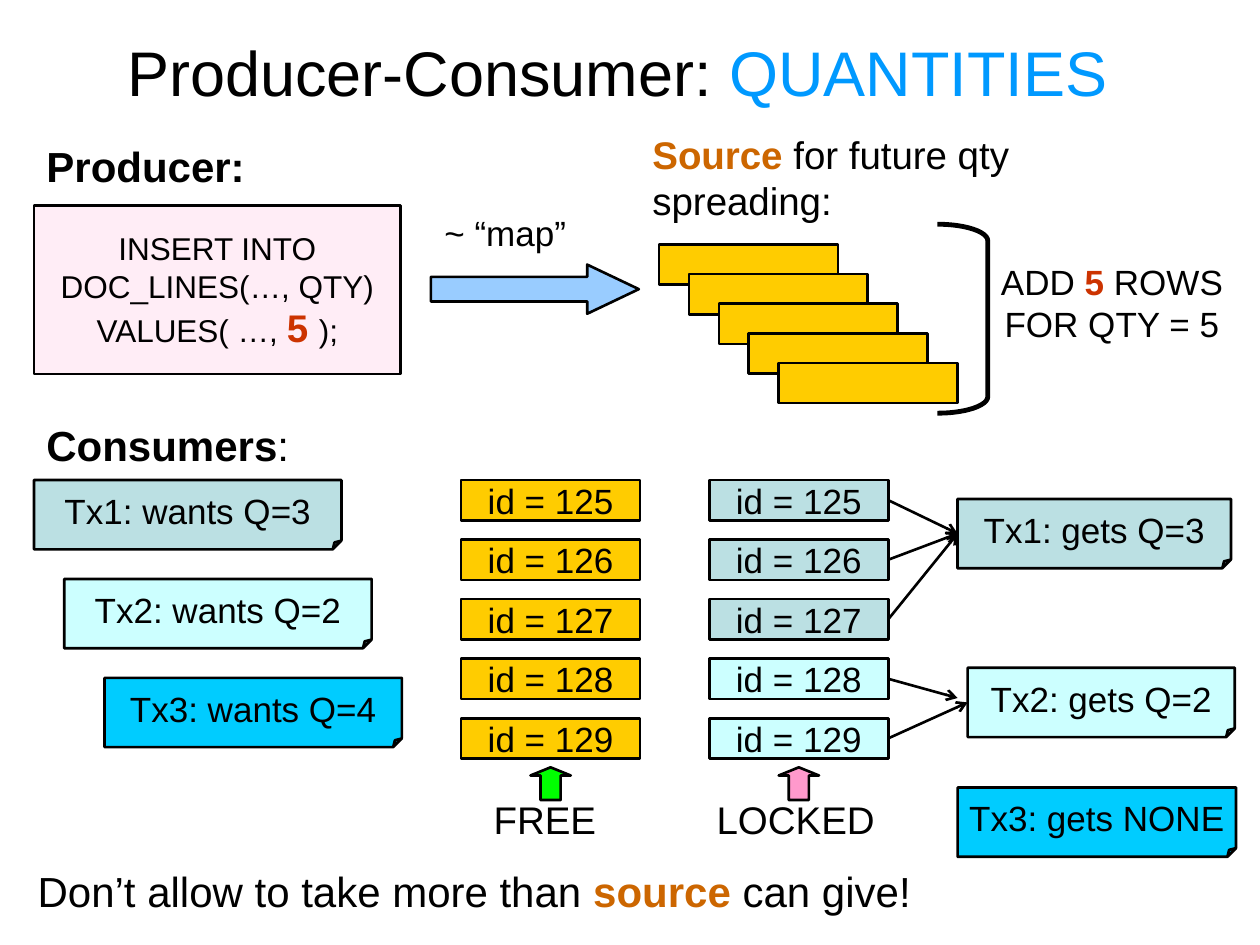
from lxml.etree import SubElement
from pptx import Presentation
from pptx.dml.color import RGBColor
from pptx.enum.shapes import MSO_CONNECTOR, MSO_SHAPE
from pptx.enum.text import MSO_ANCHOR, PP_ALIGN
from pptx.oxml.ns import qn
from pptx.util import Inches, Pt

BLACK = RGBColor(0x00, 0x00, 0x00)
BLUE = RGBColor(0x00, 0x99, 0xFF)
BROWN = RGBColor(0xCC, 0x66, 0x00)
RED = RGBColor(0xCC, 0x33, 0x00)
PINK = RGBColor(0xFF, 0x99, 0xCC)
SKY = RGBColor(0x99, 0xCC, 0xFF)
GOLD = RGBColor(0xFF, 0xCC, 0x00)
TEAL = RGBColor(0xBB, 0xE0, 0xE3)
PALE = RGBColor(0xCC, 0xFF, 0xFF)
CYAN = RGBColor(0x00, 0xCC, 0xFF)
GREEN = RGBColor(0x00, 0xFF, 0x00)

LEFT, RIGHT = 1, 3
ROW_W, ROW_H, NOTE_H = 1.42, 0.32, 0.55
IDS = range(125, 130)


def write(shape, lines, size, align=PP_ALIGN.CENTER, wrap=True):
    """Fill a shape with lines of (text, colour, bold, size) runs, where only text is required."""
    frame = shape.text_frame
    frame.word_wrap = wrap
    frame.vertical_anchor = MSO_ANCHOR.MIDDLE
    for i, line in enumerate(lines):
        para = frame.add_paragraph() if i else frame.paragraphs[0]
        para.alignment = align
        for text, *style in line:
            color, bold, points = style + [BLACK, False, size][len(style):]
            run = para.add_run()
            run.text = text
            run.font.name = "Arial"
            run.font.size = Pt(points)
            run.font.bold = bold
            run.font.color.rgb = color


def label(slide, box, runs, size, align=PP_ALIGN.LEFT):
    """Place a plain text box."""
    shape = slide.shapes.add_textbox(*map(Inches, box))
    write(shape, [runs], size, align)
    shape.text_frame.vertical_anchor = MSO_ANCHOR.TOP
    return shape


def block(slide, kind, box, fill, text=None):
    """Place an outlined shape with an optional centred caption."""
    shape = slide.shapes.add_shape(kind, *map(Inches, box))
    shape.shadow.inherit = False
    shape.fill.solid()
    shape.fill.fore_color.rgb = fill
    shape.line.color.rgb = BLACK
    shape.line.width = Pt(1.5)
    if text:
        write(shape, [[(text,)]], 20, wrap=False)
    return shape


def adjust(shape, name, value):
    """Set one named adjustment of a preset shape."""
    guides = shape._element.spPr.find(qn("a:prstGeom")).find(qn("a:avLst"))
    SubElement(guides, qn("a:gd"), name=name, fmla=f"val {round(value * 100000)}")


def note(slide, box, fill, text):
    """Place a transaction note with a folded corner."""
    shape = block(slide, MSO_SHAPE.FOLDED_CORNER, box, fill, text)
    adjust(shape, "adj", 0.125)
    return shape


def link(slide, row, target, end=None):
    """Draw an arrow from a row to a note, or to a free end point."""
    line = slide.shapes.add_connector(MSO_CONNECTOR.STRAIGHT, 0, 0, *map(Inches, end or (0, 0)))
    line.begin_connect(row, RIGHT)
    if not end:
        line.end_connect(target, LEFT)
    line.line.color.rgb = BLACK
    line.line.width = Pt(1.5)
    SubElement(line.line._get_or_add_ln(), qn("a:tailEnd"), type="arrow")
    SubElement(line._element.spPr, qn("a:effectLst"))


def producer(slide, x, y, w, h):
    """Place the insert statement under its heading, and the map arrow beside it."""
    label(slide, (x, y, w, 0.5), [("Producer:", BLACK, True)], 24)
    card = block(slide, MSO_SHAPE.RECTANGLE, (x, y + 0.56, w, h - 0.56), PINK)
    color = card._element.spPr.find(qn("a:solidFill"))[0]
    SubElement(color, qn("a:alpha"), val="17000")
    write(card, [
        [("INSERT INTO DOC_LINES(…, QTY)",)],
        [("VALUES( …, ",), ("5 ", RED, True, 22), (");",)],
    ], 18)
    left = x + w + 0.24
    label(slide, (left, y + 0.56, 1.18, 0.44), [("~ “map”",)], 20, PP_ALIGN.CENTER)
    arrow = block(slide, MSO_SHAPE.RIGHT_ARROW, (left, y + 1.03, 1.65, 0.39), SKY)
    adjust(arrow, "adj2", 1.05)


def source(slide, x, y, w, h):
    """Place the cascade of source rows with its heading, bracket and remark."""
    dx, dy = (w - ROW_W) / 4, (h - ROW_H) / 4
    for i in range(5):
        block(slide, MSO_SHAPE.RECTANGLE, (x + i * dx, y + i * dy, ROW_W, ROW_H), GOLD)
    label(slide, (x - 0.15, y - 0.95, 4.1, 0.84),
          [("Source ", BROWN, True), ("for future qty spreading:",)], 22)
    edge = x + w - 0.16
    clamp = slide.shapes.add_shape(MSO_SHAPE.RIGHT_BRACKET,
                                   *map(Inches, (edge, y - 0.16, 0.4, 1.5)))
    clamp.shadow.inherit = False
    clamp.fill.background()
    clamp.line.color.rgb = BLACK
    clamp.line.width = Pt(2.75)
    adjust(clamp, "adj", 0.33)
    label(slide, (edge + 0.4, y + 0.08, 1.97, 0.77),
          [("ADD ",), ("5", RED, True), (" ROWS FOR QTY = 5",)], 20, PP_ALIGN.CENTER)


def wants(slide, x, y):
    """Place the consumers' requests under their heading."""
    label(slide, (x, y, 4.1, 0.5), [("Consumers", BLACK, True), (":",)], 24)
    items = [(0, 2.44, TEAL, "Tx1: wants Q=3"),
             (0.24, 2.44, PALE, "Tx2: wants Q=2"),
             (0.56, 2.36, CYAN, "Tx3: wants Q=4")]
    for i, (dx, w, fill, text) in enumerate(items):
        note(slide, (x + dx, y + 0.53 + i * 0.785, w, NOTE_H), fill, text)


def column(slide, x, y, h, fills, mark):
    """Stack the numbered rows above an up arrow and return them."""
    step = (h - ROW_H) / (len(IDS) - 1)
    rows = [block(slide, MSO_SHAPE.RECTANGLE, (x, y + i * step, ROW_W, ROW_H), fill, f"id = {n}")
            for i, (n, fill) in enumerate(zip(IDS, fills))]
    arrow = block(slide, MSO_SHAPE.UP_ARROW, (x + 0.55, y + h + 0.07, 0.32, 0.26), mark)
    adjust(arrow, "adj2", 0.25)
    return rows


def gets(slide, x, y, rows):
    """Place the consumers' results and link the locked rows to them."""
    first = note(slide, (x, y, 2.17, NOTE_H), TEAL, "Tx1: gets Q=3")
    second = note(slide, (x + 0.08, y + 1.34, 2.12, NOTE_H), PALE, "Tx2: gets Q=2")
    note(slide, (x, y + 2.29, 2.21, NOTE_H), CYAN, "Tx3: gets NONE")
    for row in rows[:3]:
        link(slide, row, first)
    link(slide, rows[3], second, (x, y + 1.58))
    link(slide, rows[4], second)


def main():
    """Build the slide and save it."""
    deck = Presentation()
    deck.slide_width, deck.slide_height = Inches(10), Inches(7.5)
    slide = deck.slides.add_slide(deck.slide_layouts[6])
    title = label(slide, (0, 0.3, 9.8, 0.54),
                  [("Producer-Consumer: ",), ("QUANTITIES", BLUE)], 36, PP_ALIGN.CENTER)
    title.text_frame.vertical_anchor = MSO_ANCHOR.MIDDLE
    producer(slide, 0.27, 1.07, 2.91, 1.9)
    source(slide, 5.23, 1.94, 2.37, 1.26)
    wants(slide, 0.27, 3.28)
    column(slide, 3.66, 3.81, 2.21, [GOLD] * 5, GREEN)
    locked = column(slide, 5.63, 3.81, 2.21, [TEAL] * 3 + [PALE] * 2, PINK)
    label(slide, (3.82, 6.27, 1.26, 0.47), [("FREE",)], 22)
    label(slide, (5.39, 6.27, 1.65, 0.47), [("LOCKED",)], 22, PP_ALIGN.RIGHT)
    gets(slide, 7.6, 3.96, locked)
    label(slide, (0.2, 6.82, 9.45, 0.5),
          [("Don’t allow to take more than ",), ("source", BROWN, True), (" can give!",)], 24)
    deck.save("out.pptx")


if __name__ == "__main__":
    main()
